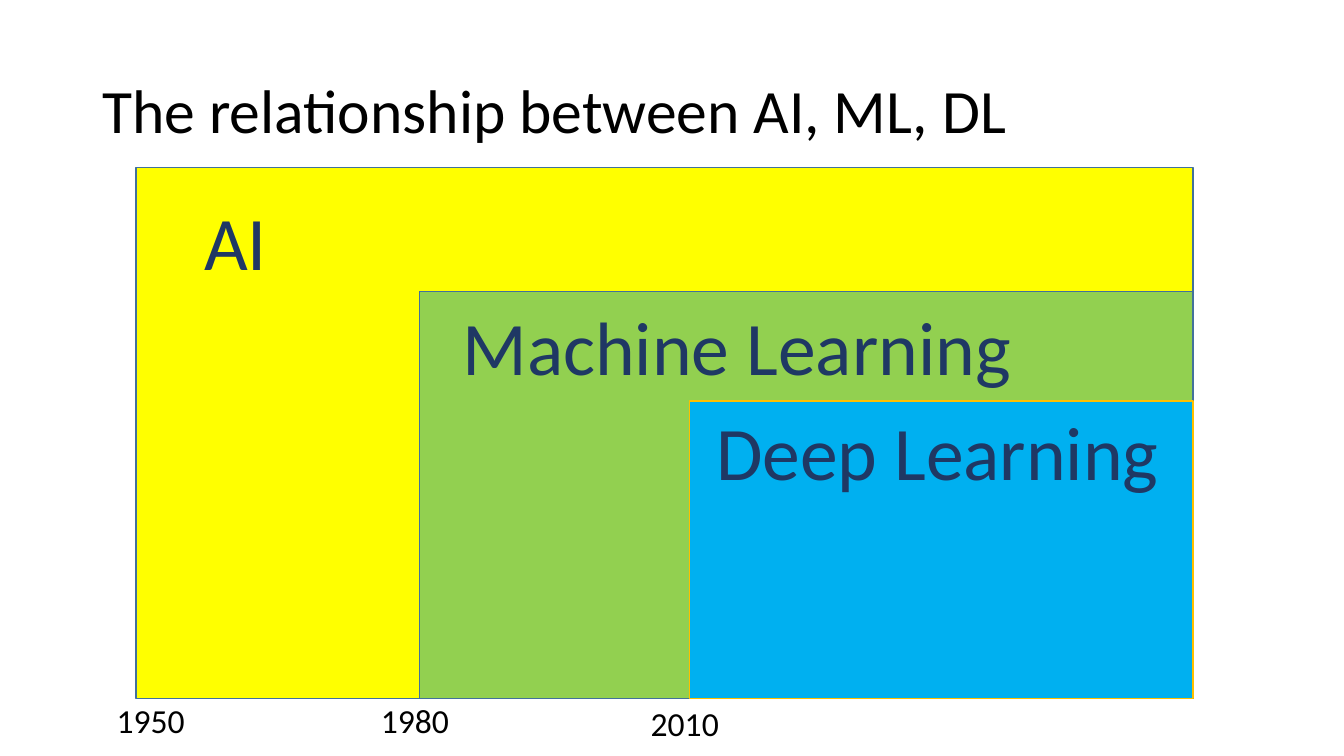
from pptx import Presentation
from pptx.dml.color import RGBColor
from pptx.enum.shapes import MSO_SHAPE
from pptx.enum.text import MSO_ANCHOR, PP_ALIGN
from pptx.util import Cm, Pt

RECTANGLE = MSO_SHAPE.RECTANGLE
TOP, MIDDLE = MSO_ANCHOR.TOP, MSO_ANCHOR.MIDDLE
LEFT, CENTER = PP_ALIGN.LEFT, PP_ALIGN.CENTER

BLACK = RGBColor(0x00, 0x00, 0x00)
NAVY = RGBColor(0x1F, 0x38, 0x64)
YELLOW = RGBColor(0xFF, 0xFF, 0x00)
GREEN = RGBColor(0x92, 0xD0, 0x50)
SKY = RGBColor(0x00, 0xB0, 0xF0)
STEEL = RGBColor(0x42, 0x71, 0x9B)
GOLD = RGBColor(0xFF, 0xC0, 0x00)

# All fields share their right and bottom edges (cm).
RIGHT, BOTTOM = 30.07, 17.6
# left, top, fill, outline, name, (name dx, dy, width), year, (year dx, dy)
FIELDS = [
    (3.43, 4.22, YELLOW, STEEL, "AI", (1.45, 0.56, 2.11), "1950", (-0.74, -0.08)),
    (10.57, 7.34, GREEN, STEEL, "Machine Learning", (0.76, 0.1, 14.48),
     "1980", (-1.22, -0.08)),
    (17.37, 10.11, SKY, GOLD, "Deep Learning", (0.36, -0.03, 11.79),
     "2010", (-1.22, 0)),
]


def add_text(slide, text, left, top, width, height, size, color=BLACK,
             align=LEFT, anchor=TOP, wrap=False, line_spacing=1.0):
    box = slide.shapes.add_textbox(Cm(left), Cm(top), Cm(width), Cm(height))
    frame = box.text_frame
    frame.word_wrap = wrap
    frame.vertical_anchor = anchor
    paragraph = frame.paragraphs[0]
    paragraph.alignment = align
    paragraph.line_spacing = line_spacing
    run = paragraph.add_run()
    run.text = text
    run.font.name = "Calibri"
    run.font.size = Pt(size)
    run.font.color.rgb = color


def add_field(slide, left, top, fill, outline):
    field = slide.shapes.add_shape(
        RECTANGLE, Cm(left), Cm(top), Cm(RIGHT - left), Cm(BOTTOM - top))
    field.shadow.inherit = False
    field.fill.solid()
    field.fill.fore_color.rgb = fill
    field.line.color.rgb = outline
    field.line.width = Pt(1)


def add_field_labels(slide, left, top, name, name_place, year, year_offset):
    """Put the name inside the field and the year under its left edge."""
    name_dx, name_dy, name_width = name_place
    add_text(slide, name, left + name_dx, top + name_dy, name_width, 2.57,
             size=54, color=NAVY, align=CENTER)
    year_dx, year_dy = year_offset
    add_text(slide, year, left + year_dx, BOTTOM + year_dy, 2.46, 1.27, size=24)


def main():
    deck = Presentation()
    deck.slide_width, deck.slide_height = Cm(33.87), Cm(19.05)
    slide = deck.slides.add_slide(deck.slide_layouts[6])
    add_text(slide, "The relationship between AI, ML, DL", 2.33, 1.01, 29.21, 3.68,
             size=44, anchor=MIDDLE, wrap=True, line_spacing=0.9)
    for left, top, fill, outline, *_ in FIELDS:
        add_field(slide, left, top, fill, outline)
    for left, top, _, _, *labels in FIELDS:
        add_field_labels(slide, left, top, *labels)
    deck.save("out.pptx")


if __name__ == "__main__":
    main()
